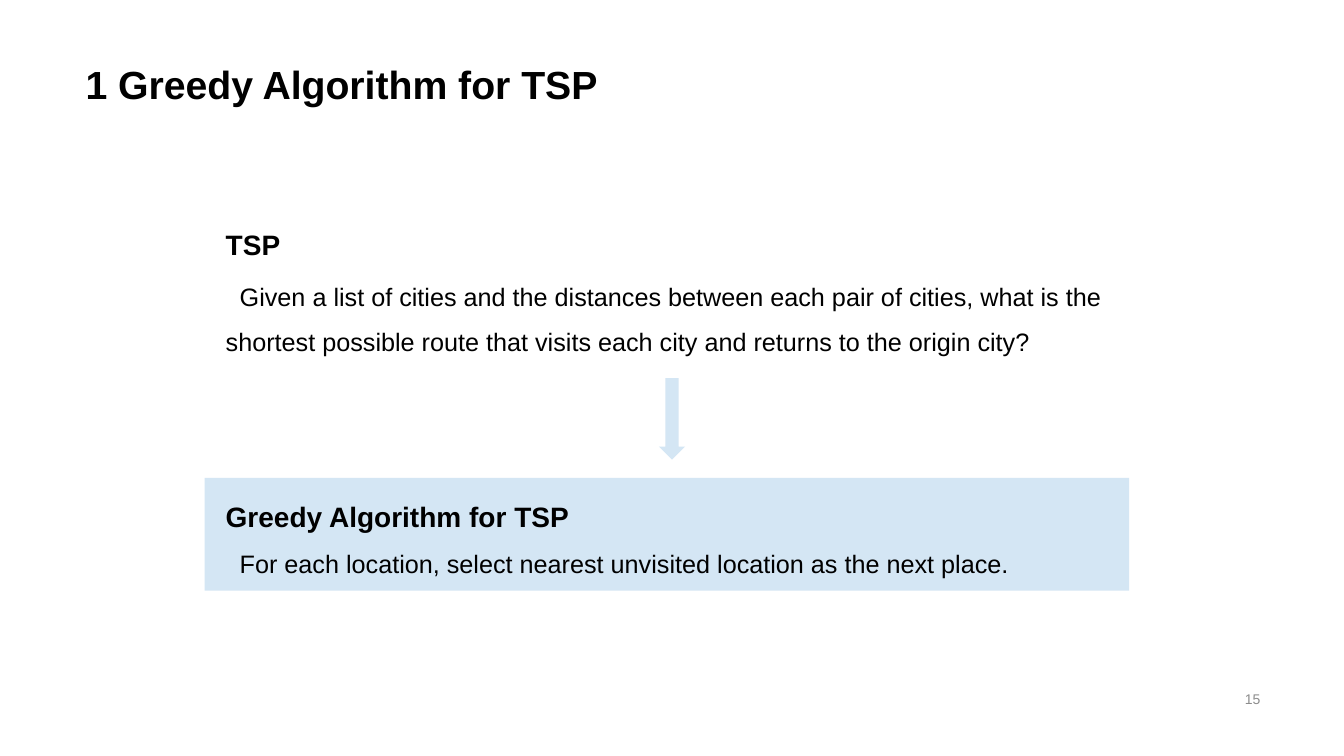
from dataclasses import dataclass

from pptx import Presentation
from pptx.dml.color import RGBColor
from pptx.enum.shapes import MSO_SHAPE
from pptx.enum.text import MSO_ANCHOR, PP_ALIGN
from pptx.util import Inches, Pt

RECTANGLE, DOWN_ARROW = MSO_SHAPE.RECTANGLE, MSO_SHAPE.DOWN_ARROW
TOP, MIDDLE, BOTTOM = MSO_ANCHOR.TOP, MSO_ANCHOR.MIDDLE, MSO_ANCHOR.BOTTOM
LEFT, RIGHT = PP_ALIGN.LEFT, PP_ALIGN.RIGHT


@dataclass(frozen=True)
class Style:
    size: int
    bold: bool = False
    color: str = "000000"
    line_spacing: float = 1.5
    first_indent: int = 0
    align: PP_ALIGN = LEFT


@dataclass(frozen=True)
class Theme:
    font: str = "Arial"
    accent: str = "D4E6F4"
    title: Style = Style(28, bold=True, line_spacing=0.9)
    heading: Style = Style(20, bold=True)
    body: Style = Style(18, first_indent=10)
    page: Style = Style(10, color="8C8C8C", line_spacing=1.0, align=RIGHT)


THEME = Theme()
TITLE = "1 Greedy Algorithm for TSP"
PROBLEM_HEADING = "TSP"
PROBLEM = ("Given a list of cities and the distances between each pair of cities, "
           "what is the shortest possible route that visits each city and returns "
           "to the origin city?")
METHOD_HEADING = "Greedy Algorithm for TSP"
METHOD = "For each location, select nearest unvisited location as the next place."
PAGE_NUMBER = "15"

SLIDE_WIDTH, SLIDE_HEIGHT = 13.33, 7.5
TEXT_LEFT, TEXT_WIDTH = 2.14, 9.05
HEADING_TOP, HEADING_HEIGHT = 2.04, 0.55
PROBLEM_TOP = HEADING_TOP + HEADING_HEIGHT
PANEL_TOP, PANEL_WIDTH, PANEL_HEIGHT = 4.74, 9.17, 1.12
PANEL_LEFT = 2.03
ARROW_WIDTH, ARROW_HEIGHT = 0.26, 0.81
ARROW_LEFT = (SLIDE_WIDTH - ARROW_WIDTH) / 2
ARROW_TOP = PANEL_TOP - 0.18 - ARROW_HEIGHT
TITLE_WIDTH = 0.89 * SLIDE_WIDTH
TITLE_LEFT = 0.75

TEXTS = [
    ((TITLE_LEFT, 0, TITLE_WIDTH, 1.12), BOTTOM, [(TITLE, THEME.title)]),
    ((9.42, 6.82, 3.18, 0.23), MIDDLE, [(PAGE_NUMBER, THEME.page)]),
    ((TEXT_LEFT, PROBLEM_TOP, TEXT_WIDTH, 0.95), TOP, [(PROBLEM, THEME.body)]),
    ((TEXT_LEFT, HEADING_TOP, TEXT_WIDTH, HEADING_HEIGHT), TOP,
     [(PROBLEM_HEADING, THEME.heading)]),
    ((TEXT_LEFT, PANEL_TOP, TEXT_WIDTH, 1.0), TOP,
     [(METHOD_HEADING, THEME.heading), (METHOD, THEME.body)]),
]


def add_accent_shape(slide, kind, box):
    shape = slide.shapes.add_shape(kind, *map(Inches, box))
    shape.shadow.inherit = False
    shape.fill.solid()
    shape.fill.fore_color.rgb = RGBColor.from_string(THEME.accent)
    shape.line.fill.background()


def style_paragraph(paragraph, style):
    paragraph.alignment = style.align
    paragraph.line_spacing = style.line_spacing
    if style.first_indent:
        properties = paragraph._p.get_or_add_pPr()
        properties.set("marL", "0")
        properties.set("indent", str(Pt(style.first_indent)))
    for run in paragraph.runs:
        run.font.name = THEME.font
        run.font.size = Pt(style.size)
        run.font.bold = style.bold
        run.font.color.rgb = RGBColor.from_string(style.color)


def add_text(slide, box, anchor, lines):
    text_frame = slide.shapes.add_textbox(*map(Inches, box)).text_frame
    text_frame.word_wrap = True
    text_frame.vertical_anchor = anchor
    text_frame.text = "\n".join(text for text, _ in lines)
    for paragraph, (_, style) in zip(text_frame.paragraphs, lines):
        style_paragraph(paragraph, style)


def main():
    presentation = Presentation()
    presentation.slide_width = Inches(SLIDE_WIDTH)
    presentation.slide_height = Inches(SLIDE_HEIGHT)
    slide = presentation.slides.add_slide(presentation.slide_layouts[6])
    add_accent_shape(slide, RECTANGLE,
                     (PANEL_LEFT, PANEL_TOP, PANEL_WIDTH, PANEL_HEIGHT))
    for box, anchor, lines in TEXTS:
        add_text(slide, box, anchor, lines)
    add_accent_shape(slide, DOWN_ARROW,
                     (ARROW_LEFT, ARROW_TOP, ARROW_WIDTH, ARROW_HEIGHT))
    presentation.save("out.pptx")


if __name__ == "__main__":
    main()
